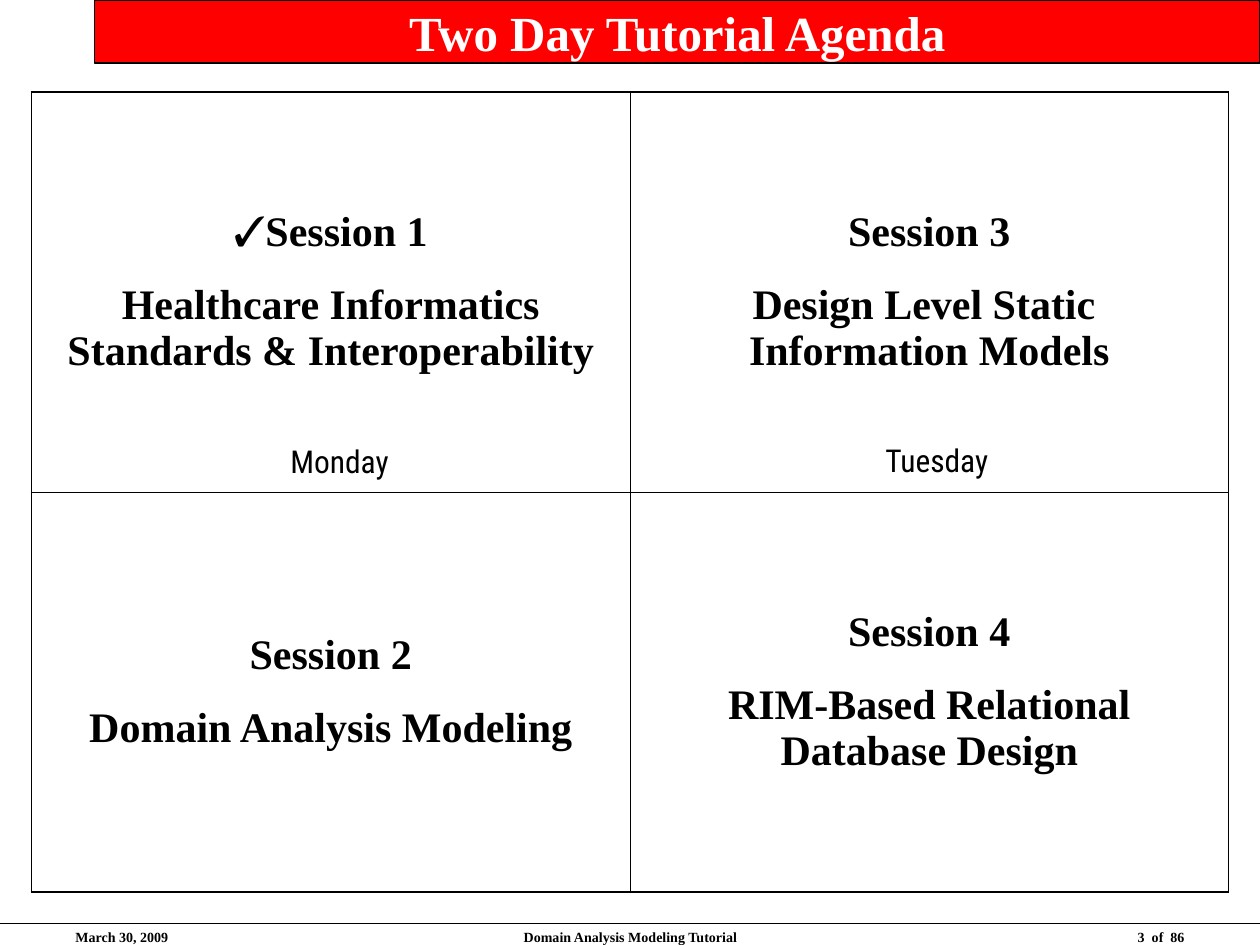
from dataclasses import dataclass

from lxml import etree
from pptx import Presentation
from pptx.dml.color import RGBColor
from pptx.enum.shapes import MSO_CONNECTOR, MSO_SHAPE
from pptx.enum.text import MSO_ANCHOR, PP_ALIGN
from pptx.oxml.ns import qn
from pptx.util import Inches, Pt

LEFT, CENTER, RIGHT = PP_ALIGN.LEFT, PP_ALIGN.CENTER, PP_ALIGN.RIGHT
TOP, MIDDLE = MSO_ANCHOR.TOP, MSO_ANCHOR.MIDDLE
STRAIGHT = MSO_CONNECTOR.STRAIGHT
RECTANGLE = MSO_SHAPE.RECTANGLE


@dataclass(frozen=True)
class Theme:
    ink: str = "000000"
    banner: str = "FF0000"
    banner_ink: str = "FFFFFF"
    serif: str = "Times New Roman"
    condensed: str = "Roboto Condensed"
    title_size: float = 28
    session_size: float = 24
    day_size: float = 18
    footer_size: float = 8
    paragraph_gap: float = 15
    rule: float = 0.75
    outer_border: float = 1.08
    inner_border: float = 0.45


@dataclass(frozen=True)
class Session:
    name: str
    topic: str
    checked: bool = False


@dataclass(frozen=True)
class Label:
    text: str
    left: float
    top: float
    width: float
    height: float
    align: PP_ALIGN
    size: float
    font: str
    bold: bool
    wrap: bool


THEME = Theme()

# Rows of the agenda; each column is one day
AGENDA = [
    [Session("Session 1", "Healthcare Informatics Standards & Interoperability", True),
     Session("Session 3", "Design Level Static \vInformation Models")],
    [Session("Session 2", "Domain Analysis Modeling"),
     Session("Session 4", "RIM-Based Relational Database Design")],
]


def day_label(text: str, left: float, top: float) -> Label:
    return Label(text, left, top, 1.61, 0.83, CENTER,
                 THEME.day_size, THEME.condensed, False, False)


def footer_label(text: str, left: float, width: float, align: PP_ALIGN) -> Label:
    return Label(text, left, 7.32, width, 0.17, align,
                 THEME.footer_size, THEME.serif, True, True)


LABELS = [
    day_label("Monday", 1.89, 3.46),
    day_label("Tuesday", 6.63, 3.45),
    footer_label("March 30, 2009", 0.5, 2.33, LEFT),
    footer_label("Domain Analysis Modeling Tutorial", 3.42, 3.17, CENTER),
    footer_label("3  of  86", 7.17, 2.33, RIGHT),
]


def format_runs(paragraph, size: float, font: str = THEME.serif,
                color: str = THEME.ink, bold: bool = True) -> None:
    for run in paragraph.runs:
        run.font.size = Pt(size)
        run.font.name = font
        run.font.bold = bold
        run.font.color.rgb = RGBColor.from_string(color)


def add_check_bullet(paragraph) -> None:
    properties = paragraph._p.get_or_add_pPr()
    properties.set("marL", "0")
    properties.set("indent", "0")
    bullet_color = etree.SubElement(properties, qn("a:buClr"))
    etree.SubElement(bullet_color, qn("a:srgbClr"), val=THEME.ink)
    etree.SubElement(properties, qn("a:buFont"), typeface=THEME.serif)
    etree.SubElement(properties, qn("a:buChar"), char="✓")


def set_border(cell, side: str, width: float) -> None:
    border = etree.SubElement(cell._tc.get_or_add_tcPr(), qn(f"a:ln{side}"),
                              w=str(int(Pt(width))))
    fill = etree.SubElement(border, qn("a:solidFill"))
    etree.SubElement(fill, qn("a:srgbClr"), val=THEME.ink)


def fill_session_cell(cell, session: Session, outer_sides: str) -> None:
    for side in "LRTB":
        set_border(cell, side,
                   THEME.outer_border if side in outer_sides else THEME.inner_border)
    cell.fill.background()
    cell.vertical_anchor = MIDDLE
    cell.text_frame.text = f"{session.name}\n{session.topic}"
    name, topic = cell.text_frame.paragraphs
    if session.checked:
        add_check_bullet(name)
    topic.space_before = Pt(THEME.paragraph_gap)
    for paragraph in (name, topic):
        paragraph.alignment = CENTER
        format_runs(paragraph, THEME.session_size)


def add_agenda(slide) -> None:
    table = slide.shapes.add_table(2, 2, Inches(0.25), Inches(0.73),
                                   Inches(9.5), Inches(6.35)).table
    table.first_row = False
    table.horz_banding = False
    for row, sessions in enumerate(AGENDA):
        for column, session in enumerate(sessions):
            fill_session_cell(table.cell(row, column), session,
                              "LR"[column] + "TB"[row])


def add_title(slide) -> None:
    banner = slide.shapes.add_shape(RECTANGLE, Inches(0.75), Inches(0),
                                    Inches(9.25), Inches(0.5))
    banner.shadow.inherit = False
    banner.fill.solid()
    banner.fill.fore_color.rgb = RGBColor.from_string(THEME.banner)
    banner.line.color.rgb = RGBColor.from_string(THEME.ink)
    banner.line.width = Pt(THEME.rule)
    banner.text_frame.text = "Two Day Tutorial Agenda"
    banner.text_frame.vertical_anchor = MIDDLE
    title = banner.text_frame.paragraphs[0]
    title.alignment = CENTER
    format_runs(title, THEME.title_size, color=THEME.banner_ink)


def add_footer_rule(slide) -> None:
    rule = slide.shapes.add_connector(STRAIGHT, Inches(0), Inches(7.33),
                                      Inches(10), Inches(7.33))
    rule.line.color.rgb = RGBColor.from_string(THEME.ink)
    rule.line.width = Pt(THEME.rule)
    etree.SubElement(rule._element.spPr, qn("a:effectLst"))


def add_label(slide, label: Label) -> None:
    box = slide.shapes.add_textbox(Inches(label.left), Inches(label.top),
                                   Inches(label.width), Inches(label.height))
    frame = box.text_frame
    frame.word_wrap = label.wrap
    frame.vertical_anchor = TOP
    frame.text = label.text
    paragraph = frame.paragraphs[0]
    paragraph.alignment = label.align
    format_runs(paragraph, label.size, label.font, bold=label.bold)


def main() -> None:
    presentation = Presentation()
    presentation.slide_width = Inches(10)
    presentation.slide_height = Inches(7.5)
    slide = presentation.slides.add_slide(presentation.slide_layouts[6])

    # Banner and agenda grid
    add_footer_rule(slide)
    add_title(slide)
    add_agenda(slide)

    # Day names and footer
    for label in LABELS:
        add_label(slide, label)

    presentation.save("out.pptx")


if __name__ == "__main__":
    main()
